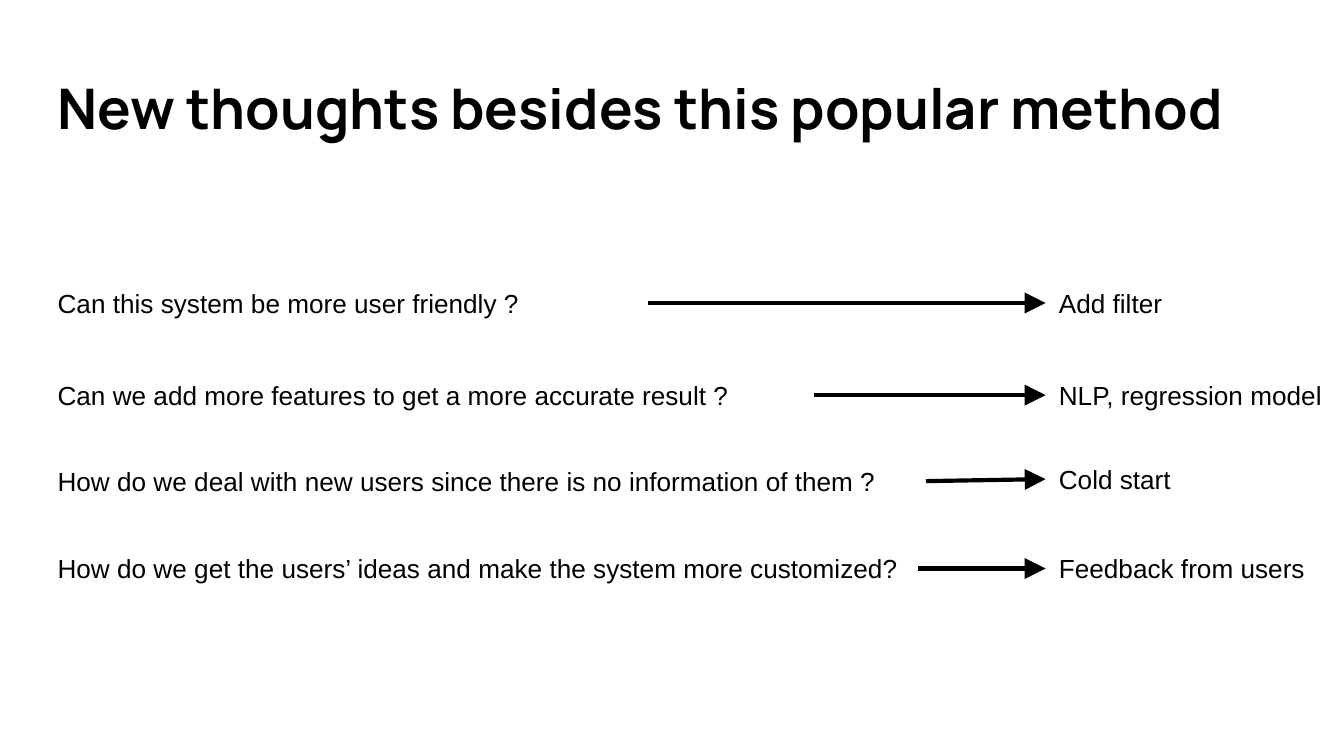
"""Build the slide that pairs open questions with new ideas."""
from lxml.etree import SubElement
from pptx import Presentation
from pptx.dml.color import RGBColor
from pptx.enum.shapes import MSO_CONNECTOR as Link
from pptx.enum.text import MSO_ANCHOR as Anchor, MSO_AUTO_SIZE as Fit, PP_ALIGN as Align
from pptx.oxml.ns import qn
from pptx.util import Inches, Pt

TITLE = "New thoughts besides this popular method"
ROWS = [
    {"ask": "Can this system be more user friendly ?", "span": 4.49, "mid": 2.255,
     "reply": "Add filter", "width": 1.09, "level": 2.255},
    {"ask": "Can we add more features to get a more accurate result ?", "span": 5.73, "mid": 2.94,
     "reply": "NLP, regression model", "width": 2.37, "level": 2.94},
    {"ask": "How do we deal with new users since there is no information of them ?",
     "span": 6.56, "mid": 3.58, "reply": "Cold start", "width": 1.17, "level": 3.565},
    {"ask": "How do we get the users’ ideas and make the system more customized?",
     "span": 6.5, "mid": 4.23, "reply": "Feedback from users", "width": 3.28, "level": 4.23},
]
WIDE = 10
HIGH = WIDE * 9 / 16
LEFT, RIGHT, TALL, PAD = 0.33, 7.78, 0.36, 0.1
INK = "000000"
HEAD = {"name": "Manrope", "size": Pt(30), "bold": True}
BODY = {"name": "Arial", "size": Pt(14), "bold": False}


def tint(code):
    return RGBColor.from_string(code)


def write(shape, text, look, anchor):
    frame = shape.text_frame
    form = {"word_wrap": True, "auto_size": Fit.NONE, "vertical_anchor": anchor}
    form.update({"margin_" + side: Inches(PAD) for side in ("left", "top", "right", "bottom")})
    for key, value in form.items():
        setattr(frame, key, value)
    frame.text = text
    para = frame.paragraphs[0]
    para.alignment = Align.LEFT
    font = para.runs[0].font
    for key, value in look.items():
        setattr(font, key, value)
    font.color.rgb = tint(INK)


def label(slide, text, left, mid, width):
    box = slide.shapes.add_textbox(*map(Inches, (left, mid - TALL / 2, width, TALL)))
    write(box, text, BODY, Anchor.MIDDLE)


def arrow(slide, *ends):
    link = slide.shapes.add_connector(Link.STRAIGHT, *map(Inches, ends))
    link.line.width = Pt(2.25)
    link.line.color.rgb = tint(INK)
    props = link._element.spPr
    SubElement(props.get_or_add_ln(), qn("a:tailEnd"), type="triangle", w="lg", len="lg")
    SubElement(props, qn("a:effectLst"))


def main():
    deck = Presentation()
    deck.slide_width, deck.slide_height = Inches(WIDE), Inches(HIGH)
    slide = deck.slides.add_slide(deck.slide_layouts[5])
    title = slide.shapes.title
    spot = {"left": LEFT, "top": 0.45, "width": 9.32, "height": 0.7}
    for key, value in spot.items():
        setattr(title, key, Inches(value))
    write(title, TITLE, HEAD, Anchor.TOP)
    for row in ROWS:
        label(slide, row["ask"], LEFT, row["mid"], row["span"])
        label(slide, row["reply"], RIGHT, row["level"], row["width"])
        arrow(slide, LEFT + row["span"], row["mid"], RIGHT, row["level"])
    deck.save("out.pptx")


if __name__ == "__main__":
    main()
